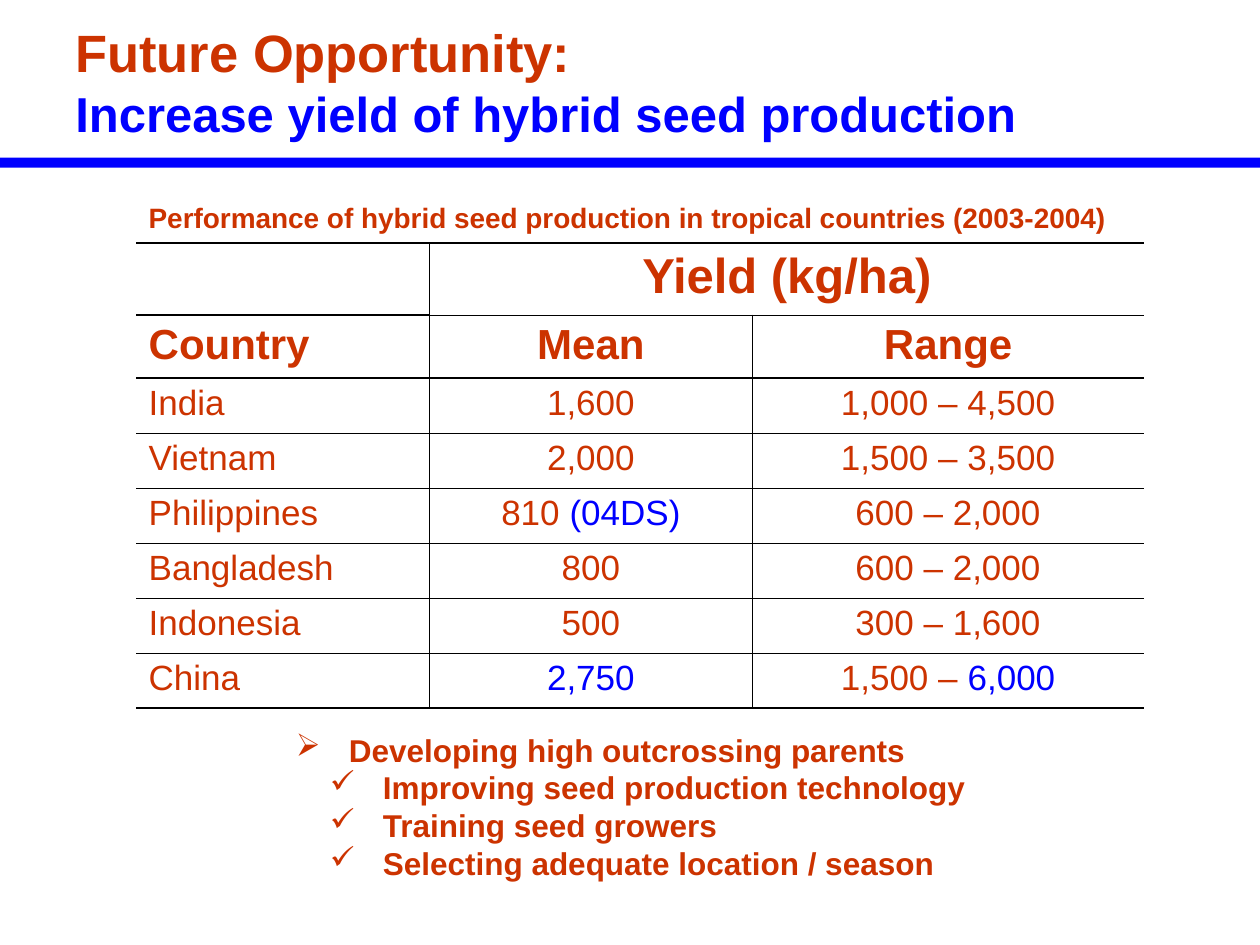
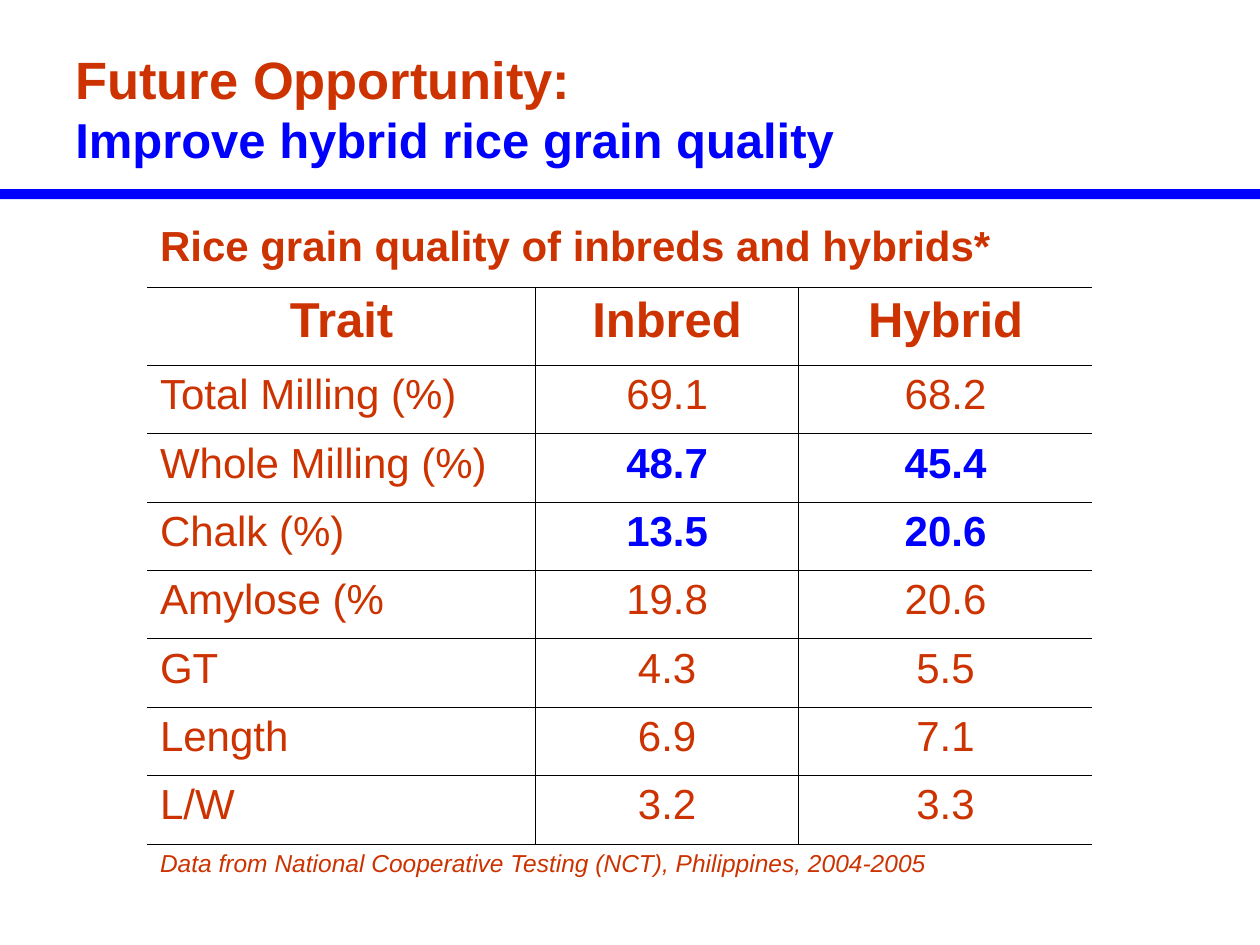
from lxml.etree import SubElement
from pptx import Presentation
from pptx.dml.color import RGBColor
from pptx.enum.shapes import MSO_SHAPE as Shape
from pptx.enum.text import MSO_ANCHOR as Anchor, PP_ALIGN as Align
from pptx.oxml.ns import qn
from pptx.util import Inches, Pt

FONT = "Arial"
RUST, BLUE, BLACK = "CC3300", "0000FF", "000000"
THIN, THICK = 0.45, 1.08
NO_STYLE = "{2D5ABB26-0587-4C30-8999-92F81FD0307C}"

YIELDS = [
    ("India", "1,600", "1,000 – 4,500"),
    ("Vietnam", "2,000", "1,500 – 3,500"),
    ("Philippines", [("810 ", RUST), ("(04DS)", BLUE)], "600 – 2,000"),
    ("Bangladesh", "800", "600 – 2,000"),
    ("Indonesia", "500", "300 – 1,600"),
    ("China", [("2,750", BLUE)], [("1,500 – ", RUST), ("6,000", BLUE)]),
]
QUALITIES = [
    ("Total Milling (%)", "69.1", "68.2"),
    ("Whole Milling (%)", "48.7", "45.4"),
    ("Chalk (%)", "13.5", "20.6"),
    ("Amylose (%", "19.8", "20.6"),
    ("GT", "4.3", "5.5"),
    ("Length", "6.9", "7.1"),
    ("L/W", "3.2", "3.3"),
]
STRESSED_TRAITS = ("Whole Milling (%)", "Chalk (%)")
TASKS = [
    ("➢", 0, "Developing high outcrossing parents"),
    ("✓", 1, "Improving seed production technology"),
    ("✓", 1, "Training seed growers"),
    ("✓", 1, "Selecting adequate location / season"),
]


def rgb(value):
    return RGBColor.from_string(value)


def style(paragraph, size, color=RUST, bold=False):
    font = paragraph.font
    font.name, font.size, font.bold = FONT, Pt(size), bold
    font.color.rgb = rgb(color)


def add_text_box(slide, left, top, width, height):
    box = slide.shapes.add_textbox(Inches(left), Inches(top), Inches(width), Inches(height))
    box.text_frame.word_wrap = True
    return box.text_frame


# Title and band
def add_heading(slide, title_top, band_top, topic):
    band = slide.shapes.add_shape(
        Shape.RECTANGLE, 0, Inches(band_top), Inches(10), Inches(0.08))
    band.shadow.inherit = False
    band.fill.solid()
    band.fill.fore_color.rgb = rgb(BLUE)
    band.line.fill.background()

    frame = add_text_box(slide, 0.5, title_top, 9, 0.95)
    frame.vertical_anchor = Anchor.MIDDLE
    paragraph = frame.paragraphs[0]
    style(paragraph, 30, bold=True)
    paragraph.add_run().text = "Future Opportunity:"
    paragraph.add_line_break()
    run = paragraph.add_run()
    run.text = topic
    run.font.size = Pt(28)
    run.font.color.rgb = rgb(BLUE)


# Tables
def add_plain_table(slide, left, top, widths, heights):
    frame = slide.shapes.add_table(
        len(heights), len(widths), Inches(left), Inches(top),
        Inches(sum(widths)), Inches(sum(heights)))
    table = frame.table
    table.first_row = table.horz_banding = False
    table._tbl.tblPr.find(qn("a:tableStyleId")).text = NO_STYLE
    for column, width in zip(table.columns, widths):
        column.width = Inches(width)
    for row, height in zip(table.rows, heights):
        row.height = Inches(height)
    return table


def fill_cell(cell, content, size, align=Align.LEFT, color=RUST, bold=False):
    paragraph = cell.text_frame.paragraphs[0]
    paragraph.alignment = align
    paragraph.space_before = Pt(size / 4)
    style(paragraph, size, color, bold)
    runs = [(content, color)] if isinstance(content, str) else content
    for text, run_color in runs:
        run = paragraph.add_run()
        run.text = text
        if run_color != color:
            run.font.color.rgb = rgb(run_color)
    return paragraph


def set_border(cell, side, weight):
    line = SubElement(cell._tc.get_or_add_tcPr(), qn(f"a:ln{side}"), w=str(Pt(weight)))
    fill = SubElement(line, qn("a:solidFill"))
    SubElement(fill, qn("a:srgbClr"), val=BLACK)


def rule_table(table, line_weight, first_row, last_row):
    """Rule the grid; line_weight(row, column) is the line under that cell."""
    row_count, column_count = len(table.rows), len(table.columns)
    for row in range(row_count):
        in_grid = first_row <= row <= last_row
        for column in range(column_count):
            cell = table.cell(row, column)
            above = line_weight(row - 1, column) if row else None
            borders = {
                "L": THIN if in_grid and column else None,
                "R": THIN if in_grid and column < column_count - 1 and not (
                    cell.is_spanned or cell.is_merge_origin) else None,
                "T": above,
                "B": line_weight(row, column) if row <= last_row else None,
            }
            if cell.is_spanned:
                borders["L"] = None
            for side, weight in borders.items():
                if weight:
                    set_border(cell, side, weight)
            cell.fill.background()


def add_yield_table(slide, left, top):
    heights = [0.37, 0.57, 0.5] + [2.62 / len(YIELDS)] * len(YIELDS)
    table = add_plain_table(slide, left, top, [2.33, 2.56, 3.11], heights)
    table.cell(0, 0).merge(table.cell(0, 2))
    table.cell(1, 1).merge(table.cell(1, 2))
    fill_cell(table.cell(0, 0),
              "Performance of hybrid seed production in tropical countries (2003-2004)",
              16, bold=True)
    fill_cell(table.cell(1, 1), "Yield (kg/ha)", 28, Align.CENTER, bold=True)

    for row, values in enumerate([("Country", "Mean", "Range")] + YIELDS, start=2):
        header = row == 2
        for column, value in enumerate(values):
            align = Align.CENTER if column else Align.LEFT
            fill_cell(table.cell(row, column), value, 24 if header else 20, align, bold=header)

    last_row = len(heights) - 1

    def line_weight(row, column):
        if (row, column) == (1, 0):
            return None
        return THICK if row in (0, 2, last_row) else THIN

    rule_table(table, line_weight, 1, last_row)


def add_quality_table(slide, left, top):
    heights = [0.61, 0.62] + [3.8 / len(QUALITIES)] * len(QUALITIES) + [0.37]
    table = add_plain_table(slide, left, top, [3.08, 2.09, 2.33], heights)
    last_row = len(heights) - 1
    for row in (0, last_row):
        table.cell(row, 0).merge(table.cell(row, 2))

    caption = fill_cell(table.cell(0, 0), "Rice grain quality of inbreds and hybrids*",
                        24, bold=True)
    spacer = caption.add_run()
    spacer.text = " "
    spacer.font.size = Pt(28)
    source = fill_cell(table.cell(last_row, 0),
                       "Data from National Cooperative Testing (NCT), Philippines, 2004-2005", 14)
    source.font.italic = True

    for column, name in enumerate(("Trait", "Inbred", "Hybrid")):
        fill_cell(table.cell(1, column), name, 28, Align.CENTER, bold=True)
    for row, values in enumerate(QUALITIES, start=2):
        for column, value in enumerate(values):
            stressed = column > 0 and values[0] in STRESSED_TRAITS
            fill_cell(table.cell(row, column), value, 24,
                      Align.CENTER if column else Align.LEFT,
                      BLUE if stressed else RUST, stressed)

    rule_table(table, lambda row, column: THIN, 1, last_row - 1)


# Bulleted tasks
def add_tasks(slide, left, top):
    frame = add_text_box(slide, left, top, 6.42, 1.3)
    for index, (bullet, level, text) in enumerate(TASKS):
        paragraph = frame.add_paragraph() if index else frame.paragraphs[0]
        paragraph.text = text
        paragraph.level = level
        style(paragraph, 18, bold=True)
        properties = paragraph._p.get_or_add_pPr()
        properties.set("marL", str(Inches(0.42 + 0.27 * level)))
        properties.set("indent", str(Inches(-0.42)))
        mark = properties.makeelement(qn("a:buChar"), {"char": bullet})
        properties.find(qn("a:defRPr")).addprevious(mark)


def add_yield_slide(presentation):
    slide = presentation.slides.add_slide(presentation.slide_layouts[6])
    add_yield_table(slide, 1.08, 1.56)
    add_heading(slide, 0.17, 1.25, "Increase yield of hybrid seed production")
    add_tasks(slide, 2.25, 5.75)


def add_quality_slide(presentation):
    slide = presentation.slides.add_slide(presentation.slide_layouts[6])
    add_quality_table(slide, 1.17, 1.67)
    add_heading(slide, 0.38, 1.5, "Improve hybrid rice grain quality")


def main():
    presentation = Presentation()
    presentation.slide_width, presentation.slide_height = Inches(10), Inches(7.5)
    add_yield_slide(presentation)
    add_quality_slide(presentation)
    presentation.save("out.pptx")


if __name__ == "__main__":
    main()
